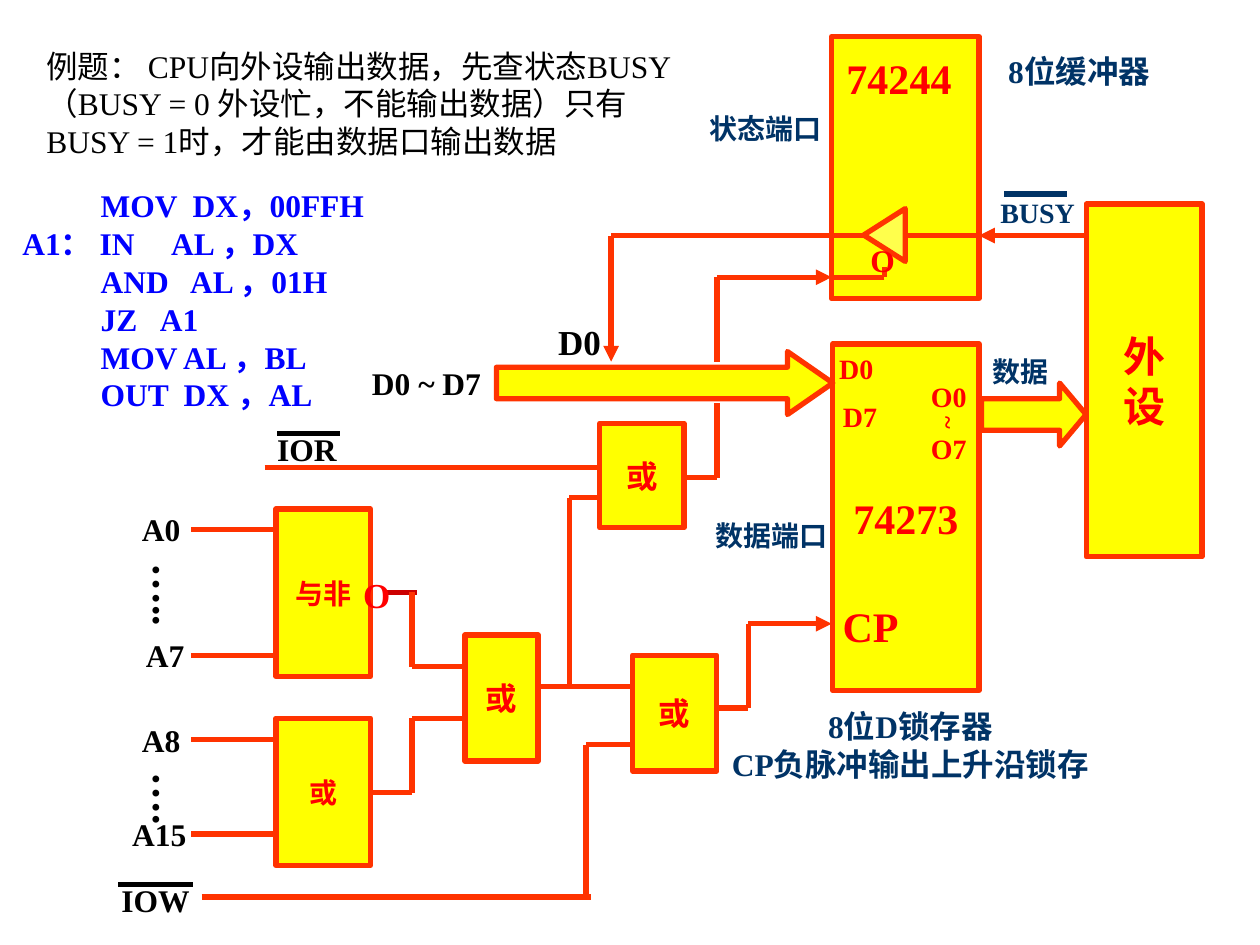
from dataclasses import dataclass

from lxml.etree import SubElement
from pptx import Presentation
from pptx.dml.color import RGBColor
from pptx.enum.shapes import MSO_CONNECTOR, MSO_SHAPE
from pptx.enum.text import MSO_ANCHOR, MSO_AUTO_SIZE, PP_ALIGN
from pptx.oxml.ns import qn
from pptx.util import Pt

SCALE = 9144


@dataclass(frozen=True)
class Theme:
    fill: str = "FFFF00"
    wire: str = "FF3300"
    stub: str = "CC0000"
    pale: str = "FFFF99"
    red: str = "FF0000"
    navy: str = "003366"
    blue: str = "0000FF"
    black: str = "000000"
    serif: str = "Times New Roman"
    sans: str = "DejaVu Sans"
    tiny: int = 14
    small: int = 16
    body: int = 18
    mid: int = 20
    large: int = 24
    line: int = 3


def px(*sizes):
    return [size * SCALE for size in sizes]


def rgb(color):
    return RGBColor.from_string(color)


def write(frame, text, size=18, color="000000", font="Times New Roman", bold=True,
          align=PP_ALIGN.CENTER, wrap=True, grow=True, vert=False, stops=()):
    frame.word_wrap = wrap
    frame.auto_size = MSO_AUTO_SIZE.SHAPE_TO_FIT_TEXT if grow else MSO_AUTO_SIZE.NONE
    frame.vertical_anchor = MSO_ANCHOR.MIDDLE
    side, edge = px(5, 10) if vert else px(10, 5)
    frame.margin_left = frame.margin_right = side
    frame.margin_top = frame.margin_bottom = edge
    if vert:
        frame._txBody.bodyPr.set("vert", "eaVert")
    for row, line in enumerate(text.split("\n")):
        para = frame.add_paragraph() if row else frame.paragraphs[0]
        para.alignment = align
        if row < len(stops):
            tabs = SubElement(para._p.get_or_add_pPr(), qn("a:tabLst"))
            for stop in stops[row]:
                SubElement(tabs, qn("a:tab"), pos=str(stop * SCALE), algn="l")
        run = para.add_run()
        run.text = line
        run.font.name = font
        run.font.size = Pt(size)
        run.font.bold = bold
        run.font.color.rgb = rgb(color)


class Board:
    def __init__(self, slide, theme):
        self.slide = slide
        self.theme = theme

    def shape(self, kind, box, fill=None, adjust=(), turn=0, alpha=None):
        item = self.slide.shapes.add_shape(kind, *px(*box))
        item.shadow.inherit = False
        item.rotation = turn
        item.fill.solid()
        item.fill.fore_color.rgb = rgb(fill or self.theme.fill)
        item.line.color.rgb = rgb(self.theme.wire)
        item.line.width = Pt(self.theme.line)
        for place, value in enumerate(adjust):
            item.adjustments[place] = value
        if alpha:
            tone = item._element.spPr.find(qn("a:solidFill"))[0]
            SubElement(tone, qn("a:alpha"), val=str(alpha * 1000))
        return item

    def block(self, box, text="", **style):
        item = self.shape(MSO_SHAPE.RECTANGLE, box)
        if text:
            write(item.text_frame, text, color=self.theme.red,
                  wrap=False, grow=False, **style)

    def label(self, text, box, **style):
        item = self.slide.shapes.add_textbox(*px(*box))
        write(item.text_frame, text, **style)

    def wire(self, *points, color=None, arrow=False):
        for start, end in zip(points, points[1:]):
            item = self.slide.shapes.add_connector(
                MSO_CONNECTOR.STRAIGHT, *px(*start, *end))
            item.line.color.rgb = rgb(color or self.theme.wire)
            item.line.width = Pt(self.theme.line)
            if arrow and end == points[-1]:
                SubElement(item.line._get_or_add_ln(), qn("a:tailEnd"), type="triangle")
            SubElement(item._element.spPr, qn("a:effectLst"))


def blocks(board):
    look = board.theme
    board.block((862, 162, 92, 280), "外\n设", size=look.large)
    board.block((660, 29, 117, 208))
    board.block((661, 273, 116, 275), "74273", size=look.large)
    for box in ((476, 336, 67, 83), (369, 504, 58, 100), (502, 520, 67, 92)):
        board.block(box, "或", size=look.body, font=look.sans)
    board.block((219, 404, 75, 133), "与非", size=look.small)
    board.block((219, 570, 75, 117), "或", size=look.small)
    board.shape(MSO_SHAPE.RIGHT_ARROW, (394, 279, 267, 50), adjust=(0.5, 0.72))
    board.shape(MSO_SHAPE.RIGHT_ARROW, (779, 304, 83, 50), adjust=(0.5, 0.42))
    board.shape(MSO_SHAPE.ISOSCELES_TRIANGLE, (681, 170, 42, 33),
                fill=look.pale, turn=270, alpha=50)


def wires(board):
    look = board.theme
    for y in (420, 520, 587, 662):
        board.wire((152, y), (219, y))
    board.wire((306, 470), (331, 470), color=look.stub)
    board.wire((327, 470), (327, 529), (369, 529))
    board.wire((294, 629), (327, 629), (327, 570), (369, 570))
    board.wire((160, 712), (469, 712))
    board.wire((465, 712), (465, 591), (502, 591))
    board.wire((210, 371), (477, 371))
    board.wire((427, 545), (502, 545))
    board.wire((452, 545), (452, 395), (477, 395))
    board.wire((569, 562), (594, 562), (594, 495), (660, 495), arrow=True)
    board.wire((544, 379), (569, 379), (569, 320))
    board.wire((569, 287), (569, 220), (660, 220), arrow=True)
    board.wire((702, 212), (702, 220), (660, 220))
    board.wire((860, 187), (777, 187), arrow=True)
    board.wire((719, 187), (777, 187))
    board.wire((685, 187), (677, 187), (569, 187), (485, 187), (485, 287), arrow=True)
    for left, right, y, color in ((220, 270, 344, look.black),
                                  (94, 153, 702, look.black),
                                  (797, 847, 154, look.navy)):
        board.wire((left, y), (right, y), color=color)


def labels(board):
    look = board.theme
    for text, box in (("D0 ~ D7", (256, 284, 165, 40)),
                      ("IOR", (181, 336, 125, 40)),
                      ("A0", (88, 400, 80, 40)),
                      ("A7", (85, 500, 92, 40)),
                      ("A8", (88, 567, 80, 40)),
                      ("A15", (95, 642, 63, 40)),
                      ("IOW", (63, 694, 121, 40))):
        board.label(text, box, size=look.body, wrap=text != "A15")
    board.label("D0", (433, 249, 54, 44), size=look.mid)
    board.label("…..", (105, 437, 60, 72), size=look.large, vert=True)
    board.label("….", (105, 603, 60, 52), size=look.large, vert=True, wrap=False)

    for text, box, size in (("O", (272, 450, 54, 44), look.mid),
                            ("O", (681, 186, 39, 40), look.body),
                            ("74244", (642, 37, 143, 50), look.large),
                            ("CP", (646, 472, 90, 50), look.large),
                            ("D0", (655, 274, 49, 37), look.small),
                            ("D7", (645, 312, 75, 37), look.small),
                            ("O0", (729, 296, 48, 37), look.small),
                            ("O7", (720, 337, 66, 37), look.small)):
        board.label(text, box, size=size, color=look.red, wrap=text != "O0")
    for box, wrap in (((657, 304, 43, 20), False), ((732, 321, 43, 27), True)):
        board.label("~", box, size=look.tiny, color=look.red, vert=True, wrap=wrap)

    for text, box, size in (("BUSY", (760, 150, 127, 37), look.small),
                            ("数据", (773, 276, 74, 37), look.small),
                            ("状态端口", (551, 83, 113, 37), look.small),
                            ("数据端口", (556, 406, 113, 37), look.small),
                            ("8位缓冲器", (768, 36, 177, 40), look.body),
                            ("8位D锁存器\nCP负脉冲输出上升沿锁存",
                             (555, 556, 335, 70), look.body)):
        board.label(text, box, size=size, color=look.navy)


def prose(board):
    look = board.theme
    board.label("例题： CPU向外设输出数据，先查状态BUSY\t（BUSY = 0 外设忙，不能输出数据）"
                "只有\tBUSY = 1时，才能由数据口输出数据",
                (27, 17, 525, 130), size=look.body, color=look.black, bold=False,
                align=PP_ALIGN.LEFT, stops=[(79, 162)])
    code = (("\tMOV\tDX，00FFH", (62, 135)),
            ("A1： IN\tAL ，DX", (118,)),
            ("\tAND\tAL ，01H", (62, 133)),
            ("\tJZ\tA1", (62, 109)),
            ("\tMOV AL ，BL", (62,)),
            ("\tOUT\tDX ，AL", (62, 128)))
    lines, stops = zip(*code)
    board.label("\n".join(lines), (8, 143, 339, 190), size=look.body,
                color=look.blue, align=PP_ALIGN.LEFT, stops=stops)


def main():
    deck = Presentation()
    deck.slide_width, deck.slide_height = px(1000, 750)
    board = Board(deck.slides.add_slide(deck.slide_layouts[6]), Theme())
    for draw in (blocks, wires, labels, prose):
        draw(board)
    deck.save("out.pptx")


if __name__ == "__main__":
    main()
